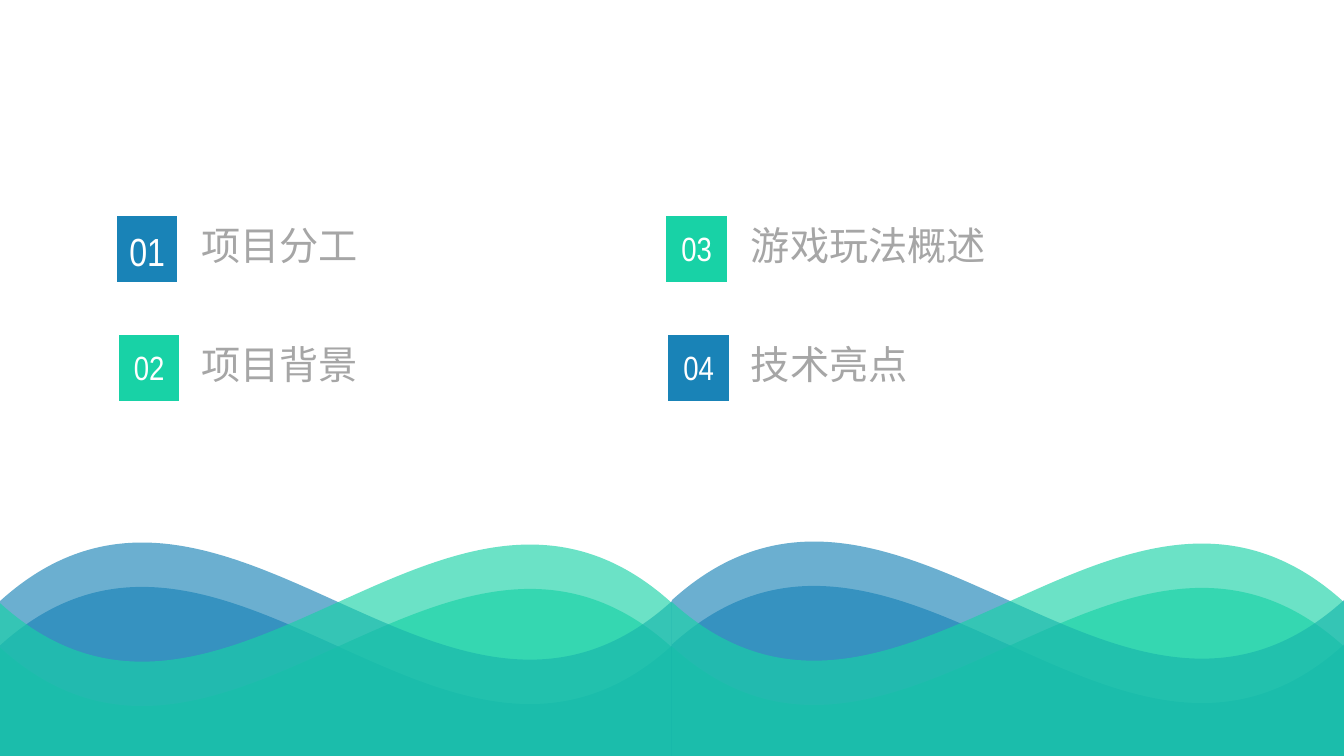
from pptx import Presentation
from pptx.dml.color import RGBColor
from pptx.enum import shapes, text
from pptx.oxml import ns
from pptx.util import Inches, Pt
from lxml import etree

BLUE = RGBColor(0x19, 0x83, 0xB7)
GREEN = RGBColor(0x18, 0xD2, 0xA6)
GRAY = RGBColor(0xA6, 0xA6, 0xA6)
WHITE = RGBColor(0xFF, 0xFF, 0xFF)
CJK, LATIN = "Noto Sans CJK SC", "Arial Narrow"

# Content: number, title, column, row, badge colour, number size
AGENDA = [
    ("01", "项目分工", 0, 0, BLUE, 28),
    ("02", "项目背景", 0, 1, GREEN, 24),
    ("03", "游戏玩法概述", 1, 0, GREEN, 24),
    ("04", "技术亮点", 1, 1, BLUE, 24),
]

# Layout in inches
SLIDE_W, SLIDE_H = 13.33, 7.5
LEFT, TOP, COL_STEP, ROW_STEP = 1.16, 2.14, 5.45, 1.18
ROW_SHIFT = 0.02
BADGE_W, BADGE_H = 0.6, 0.66
TITLE_X, TITLE_W = 1.9, 4.86
WAVE_TOPS = (5.8, 5.36)
WAVE_W, WAVE_H = SLIDE_W / 2, 4.83
WAVE_ALPHA = 64

prs = Presentation()
prs.slide_width, prs.slide_height = Inches(SLIDE_W), Inches(SLIDE_H)
s = prs.slides.add_slide(prs.slide_layouts[6])


def add_filled(kind, x, y, w, h, color):
    sp = s.shapes.add_shape(kind, Inches(x), Inches(y), Inches(w), Inches(h))
    sp.shadow.inherit = False
    sp.fill.solid()
    sp.fill.fore_color.rgb = color
    sp.line.fill.background()
    return sp


def add_label(label, x, y, w, h, size, font, color, align, inset):
    tf = s.shapes.add_textbox(Inches(x), Inches(y), Inches(w), Inches(h)).text_frame
    tf.word_wrap = True
    tf.margin_left = tf.margin_right = Inches(inset)
    tf.text = label
    p = tf.paragraphs[0]
    p.alignment = align
    r = p.runs[0]
    r.font.size, r.font.name = Pt(size), font
    r.font.color.rgb = color
    ea = etree.SubElement(r.font._element, ns.qn("a:ea"))
    ea.set("typeface", font)


def add_wave(x, y, color, flipped):
    sp = add_filled(shapes.MSO_SHAPE.WAVE, x, y, WAVE_W, WAVE_H, color)
    if flipped:
        sp._element.spPr.find(ns.qn("a:xfrm")).set("flipH", "1")
    clr = sp._element.spPr.find(ns.qn("a:solidFill"))[0]
    etree.SubElement(clr, ns.qn("a:alpha")).set("val", str(WAVE_ALPHA * 1000))


# Agenda items
for number, title, col, row, color, size in AGENDA:
    y = TOP + row * ROW_STEP
    x = LEFT + col * COL_STEP + row * ROW_SHIFT
    add_label(title, TITLE_X + col * COL_STEP, y + 0.01, TITLE_W, BADGE_H,
              28, CJK, GRAY, text.PP_ALIGN.LEFT, 0.1)
    badge = add_filled(shapes.MSO_SHAPE.PARALLELOGRAM, x, y, BADGE_W, BADGE_H, color)
    badge.adjustments[0] = 0
    add_label(number, x, y + 0.07, BADGE_W, 0.57,
              size, LATIN, WHITE, text.PP_ALIGN.CENTER, 0)

# Two layers of overlapping waves
for top in WAVE_TOPS:
    for half in range(2):
        add_wave(half * WAVE_W, top - half * 0.01, BLUE, False)
        add_wave(half * WAVE_W, top - half * 0.01 + 0.02, GREEN, True)

prs.save("out.pptx")
